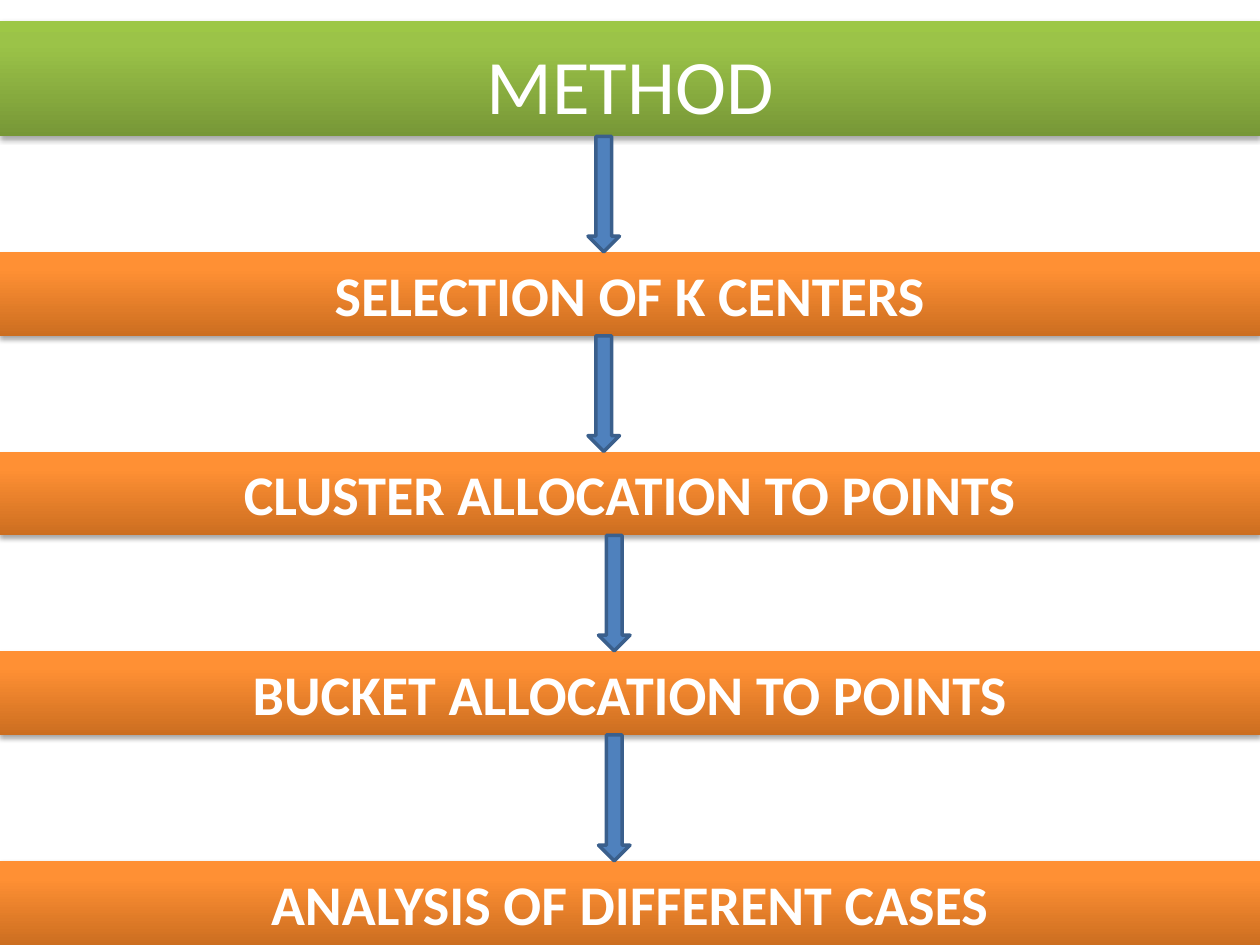
import pptx
import pptx.util
import pptx.oxml
import pptx.oxml.ns
import pptx.dml.color
import pptx.enum.shapes
import pptx.enum.text

Pt = pptx.util.Pt
RGB = pptx.dml.color.RGBColor.from_string
SHAPE = pptx.enum.shapes.MSO_SHAPE
ANCHOR = pptx.enum.text.MSO_ANCHOR
NAMESPACE = pptx.oxml.ns.nsdecls("a")

THEME = {
    "font": "Calibri",
    "text": "FFFFFF",
    "header_size": 44,
    "step_size": 32,
    "header_stops": [(0, "779737"), (80, "9BC348"), (100, "9DC746")],
    "step_stops": [(0, "CC6E20"), (80, "FF9034"), (100, "FF9136")],
    "arrow_fill": "4F81BD",
    "arrow_line": "3A5F8C",
}
SLIDE_WIDTH, SLIDE_HEIGHT = 720, 540
HEADER_TOP, HEADER_HEIGHT = 12, 66
STEP_HEIGHT = 48
ARROW_WIDTH = 18

# Step text, bar top, left edge of the arrow leading to it
STEPS = [
    ("SELECTION OF K CENTERS", 144, 336),
    ("CLUSTER ALLOCATION TO POINTS", 258, 336),
    ("BUCKET ALLOCATION TO POINTS", 372, 342),
    ("ANALYSIS OF DIFFERENT CASES", 492, 342),
]

presentation = pptx.Presentation()
presentation.slide_width = Pt(SLIDE_WIDTH)
presentation.slide_height = Pt(SLIDE_HEIGHT)
slide = presentation.slides.add_slide(presentation.slide_layouts[6])


def add_bar(text, top, height, stops, size, bold, anchor):
    """Add a full-width bar with a vertical gradient and a soft shadow."""
    shape = slide.shapes.add_shape(
        SHAPE.RECTANGLE, 0, Pt(top), Pt(SLIDE_WIDTH), Pt(height))
    shape.line.fill.background()
    shape.fill.gradient()
    shape.fill.gradient_angle = 90
    properties = shape._element.spPr
    stop_list = properties.find(".//" + pptx.oxml.ns.qn("a:gsLst"))
    for old_stop in list(stop_list):
        stop_list.remove(old_stop)
    for position, color in stops:
        stop_list.append(pptx.oxml.parse_xml(
            f'<a:gs {NAMESPACE} pos="{position * 1000}">'
            f'<a:srgbClr val="{color}"/></a:gs>'))

    shape.shadow.inherit = False
    properties.find(pptx.oxml.ns.qn("a:effectLst")).append(pptx.oxml.parse_xml(
        f'<a:outerShdw {NAMESPACE} blurRad="{Pt(3.1)}" dist="{Pt(1.8)}" '
        'dir="5400000" rotWithShape="0"><a:srgbClr val="000000">'
        '<a:alpha val="35000"/></a:srgbClr></a:outerShdw>'))

    frame = shape.text_frame
    frame.word_wrap = True
    frame.vertical_anchor = anchor
    paragraph = frame.paragraphs[0]
    paragraph.text = text
    paragraph.alignment = pptx.enum.text.PP_ALIGN.CENTER
    paragraph.font.name = THEME["font"]
    paragraph.font.size = Pt(size)
    paragraph.font.bold = bold
    paragraph.font.color.rgb = RGB(THEME["text"])


# Header
add_bar("METHOD", HEADER_TOP, HEADER_HEIGHT, THEME["header_stops"],
        THEME["header_size"], False, ANCHOR.BOTTOM)

# Steps, each with an arrow from the bar above
previous_bottom = HEADER_TOP + HEADER_HEIGHT
for text, top, arrow_left in STEPS:
    add_bar(text, top, STEP_HEIGHT, THEME["step_stops"],
            THEME["step_size"], True, ANCHOR.MIDDLE)
    arrow = slide.shapes.add_shape(
        SHAPE.DOWN_ARROW, Pt(arrow_left), Pt(previous_bottom),
        Pt(ARROW_WIDTH), Pt(top - previous_bottom))
    arrow.shadow.inherit = False
    arrow.fill.solid()
    arrow.fill.fore_color.rgb = RGB(THEME["arrow_fill"])
    arrow.line.color.rgb = RGB(THEME["arrow_line"])
    arrow.line.width = Pt(2)
    previous_bottom = top + STEP_HEIGHT

presentation.save("out.pptx")
